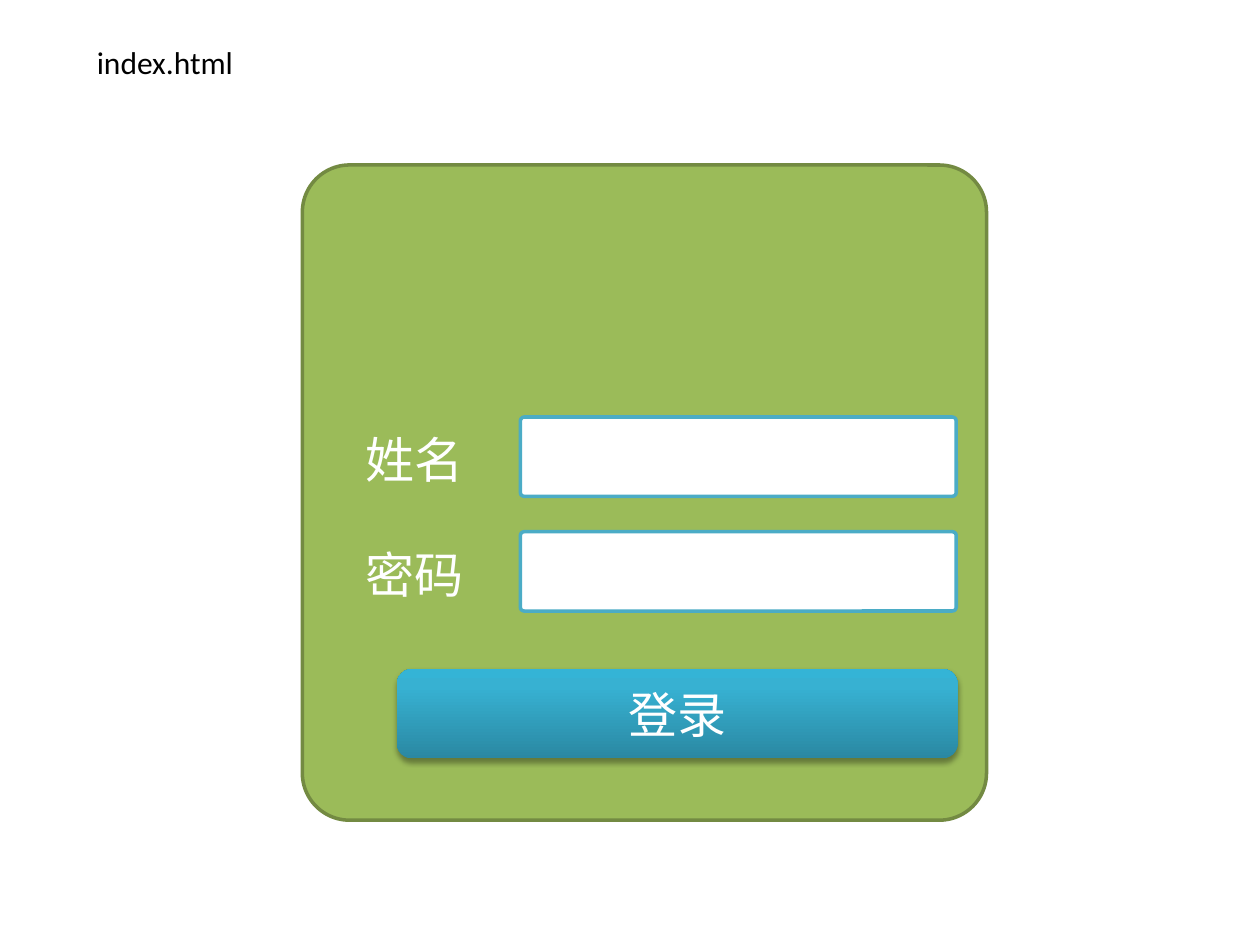
from lxml import etree
from pptx import Presentation
from pptx.dml.color import RGBColor
from pptx.enum.shapes import MSO_SHAPE
from pptx.enum.text import MSO_ANCHOR, MSO_AUTO_SIZE, PP_ALIGN
from pptx.oxml import parse_xml
from pptx.oxml.ns import qn
from pptx.util import Inches, Pt

NS = 'xmlns:a="http://schemas.openxmlformats.org/drawingml/2006/main"'
CJK = "Noto Sans CJK JP"
WHITE = "FFFFFF"


def rgb(value):
    return RGBColor.from_string(value)


def write_text(frame, text, size, font, color):
    run = frame.paragraphs[0].add_run()
    run.text = text
    run.font.size = Pt(size)
    run.font.name = font
    run.font.color.rgb = rgb(color)
    # East Asian characters take their own typeface entry
    ea = etree.SubElement(run.font._element, qn("a:ea"))
    ea.set("typeface", font)


def add_label(slide, box, text, size, font, color):
    label = slide.shapes.add_textbox(*map(Inches, box))
    label.text_frame.word_wrap = False
    label.text_frame.auto_size = MSO_AUTO_SIZE.SHAPE_TO_FIT_TEXT
    write_text(label.text_frame, text, size, font, color)


def add_rounded(slide, box, radius, fill=None, line=None):
    shape = slide.shapes.add_shape(MSO_SHAPE.ROUNDED_RECTANGLE, *map(Inches, box))
    shape.adjustments[0] = radius
    shape.shadow.inherit = False
    if fill:
        shape.fill.solid()
        shape.fill.fore_color.rgb = rgb(fill)
    if line:
        shape.line.color.rgb = rgb(line)
        shape.line.width = Pt(2)
    else:
        shape.line.fill.background()
    return shape


def set_gradient(shape, stops, angle):
    marks = "".join(
        f'<a:gs pos="{pos * 1000}"><a:srgbClr val="{color}"/></a:gs>'
        for pos, color in stops)
    gradient = parse_xml(
        f'<a:gradFill {NS} rotWithShape="1"><a:gsLst>{marks}</a:gsLst>'
        f'<a:lin ang="{angle * 60000}" scaled="0"/></a:gradFill>')
    shape._element.spPr.find(qn("a:prstGeom")).addnext(gradient)


def set_shadow(shape, color, opacity, blur, distance, angle):
    shape._element.spPr.find(qn("a:effectLst")).append(parse_xml(
        f'<a:outerShdw {NS} blurRad="{Pt(blur)}" dist="{Pt(distance)}" '
        f'dir="{angle * 60000}" rotWithShape="0"><a:srgbClr val="{color}">'
        f'<a:alpha val="{opacity * 1000}"/></a:srgbClr></a:outerShdw>'))


def add_field(slide, top, name):
    add_rounded(slide, (4.13, top, 3.46, 0.63), 0.049, WHITE, "4BACC6")
    add_label(slide, (2.8, top + 0.05, 0.99, 0.57), name, 28, CJK, WHITE)


def add_button(slide, box, text):
    button = add_rounded(slide, box, 0.167)
    set_gradient(button, [(0, "2A88A2"), (80, "37B1D2"), (100, "34B4D6")], 270)
    set_shadow(button, "000000", 35, 3.1, 1.8, 90)
    frame = button.text_frame
    frame.vertical_anchor = MSO_ANCHOR.MIDDLE
    frame.paragraphs[0].alignment = PP_ALIGN.CENTER
    write_text(frame, text, 28, CJK, WHITE)


def main():
    prs = Presentation()
    prs.slide_width, prs.slide_height = Inches(10), Inches(7.5)
    slide = prs.slides.add_slide(prs.slide_layouts[6])

    # Login panel
    add_rounded(slide, (2.4, 1.31, 5.43, 5.2), 0.072, "9BBB59", "738A42")

    # Input fields
    for row, name in enumerate(["姓名", "密码"]):
        add_field(slide, 3.31 + row * 0.91, name)

    # Login button
    add_button(slide, (3.15, 5.31, 4.45, 0.71), "登录")

    # Page name
    add_label(slide, (0.67, 0.29, 1.3, 0.4), "index.html", 18, "Calibri", "000000")

    prs.save("out.pptx")


main()
